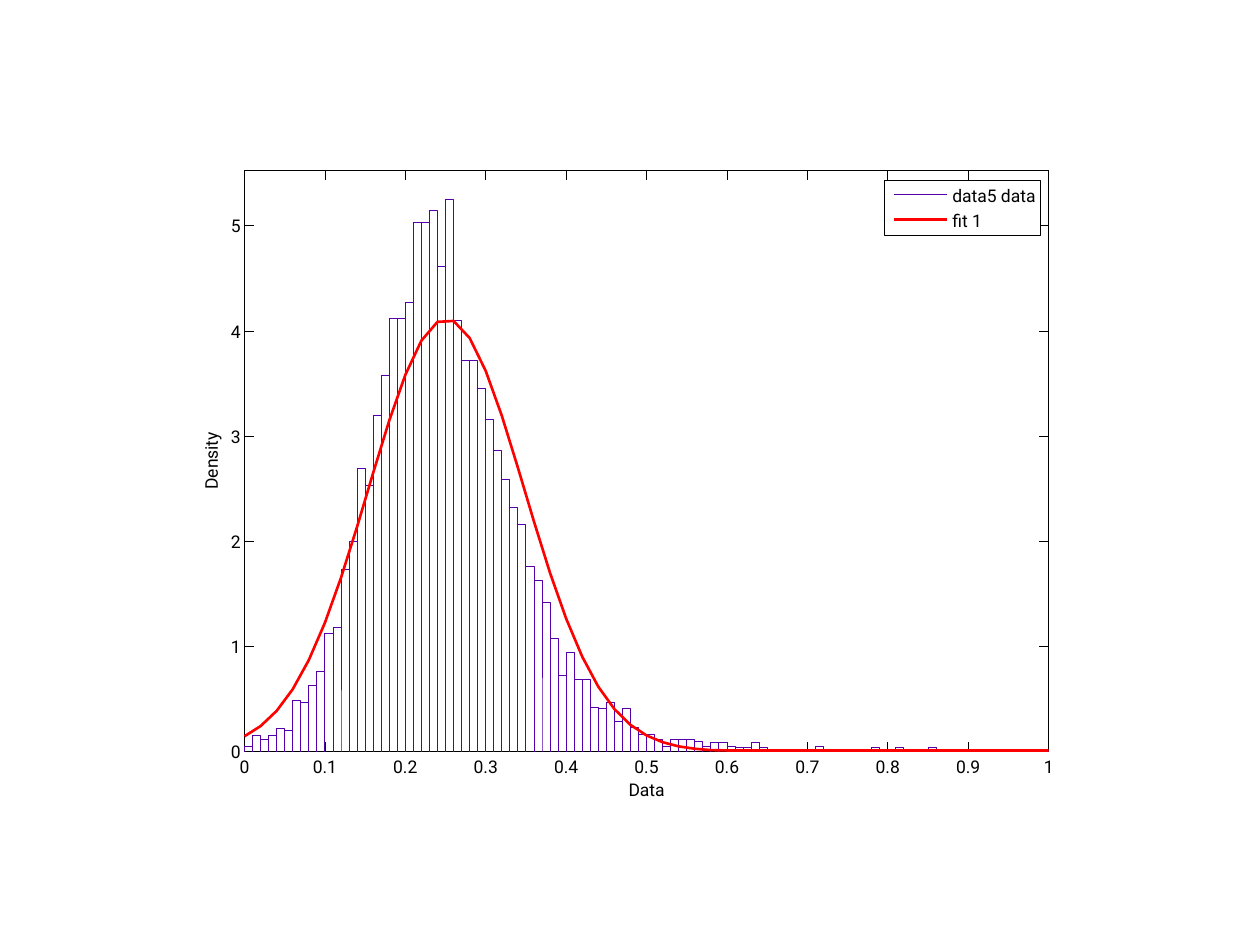
import math
from lxml import etree
from pptx import Presentation
from pptx import util as u
from pptx.dml.color import RGBColor
from pptx.enum import shapes, text
from pptx.oxml import ns
from pptx.util import Cm, Pt

COLORS = {"ink": "000000", "paper": "FFFFFF", "bars": "5500AA", "fit": "FF0000"}
FONT = "Roboto"
HAIR, THICK = 0.5, 1.5
TICK = 0.19
LABEL_H = 0.48

# Boxes in cm: left, top, width, height
PLOT = (4.93, 3.43, 16.21, 11.72)
LEGEND = (17.83, 3.63, 3.15, 1.11)

BIN, Y_MAX = 0.01, 5.53
MEAN, SIGMA = 0.251, 0.097
DENSITIES = [
    0.05, 0.15, 0.11, 0.15, 0.22, 0.20, 0.49, 0.47, 0.63, 0.76,
    1.12, 1.18, 1.73, 2.00, 2.69, 2.53, 3.20, 3.58, 4.12, 4.12,
    4.27, 5.03, 5.03, 5.15, 4.61, 5.25, 4.10, 3.72, 3.72, 3.45,
    3.16, 2.86, 2.59, 2.32, 2.16, 1.76, 1.63, 1.42, 1.08, 0.72,
    0.94, 0.69, 0.69, 0.42, 0.41, 0.47, 0.29, 0.41, 0.23, 0.16,
    0.16, 0.11, 0.05, 0.11, 0.11, 0.11, 0.10, 0.05, 0.09, 0.09,
    0.05, 0.04, 0.04, 0.09, 0.04, 0.02, 0.02, 0.02, 0.02, 0,
    0.02, 0.05, 0, 0, 0, 0.02, 0.02, 0, 0.04, 0.02,
    0, 0.04, 0.02, 0.02, 0.02, 0.04, 0.02]


def rgb(name):
    return RGBColor.from_string(COLORS[name])


def set_line(line, color="ink", width=HAIR):
    line.color.rgb = rgb(color)
    line.width = Pt(width)


def add_text(s, content, box, align=text.PP_ALIGN.LEFT, size=10, color="ink",
             rotation=0):
    sp = s.shapes.add_textbox(*map(Cm, box))
    sp.rotation = rotation
    tf = sp.text_frame
    tf.word_wrap = True
    tf.margin_left = tf.margin_right = tf.margin_top = tf.margin_bottom = 0
    p = tf.paragraphs[0]
    p.alignment = align
    r = p.add_run()
    r.text = content
    r.font.name, r.font.size = FONT, Pt(size)
    r.font.color.rgb = rgb(color)


def add_line(s, x1, y1, x2, y2, color="ink", width=HAIR):
    line = s.shapes.add_connector(shapes.MSO_CONNECTOR.STRAIGHT,
                                  *map(Cm, (x1, y1, x2, y2)))
    set_line(line.line, color, width)
    etree.SubElement(line._element.spPr, ns.qn("a:effectLst"))


def add_frame(s, box):
    sp = s.shapes.add_shape(shapes.MSO_SHAPE.RECTANGLE, *map(Cm, box))
    sp.shadow.inherit = False
    sp.fill.solid()
    sp.fill.fore_color.rgb = rgb("paper")
    set_line(sp.line)


def add_path(s, points, color, width):
    points = [(Cm(x), Cm(y)) for x, y in points]
    builder = s.shapes.build_freeform(*points[0], scale=1.0)
    builder.add_line_segments(points[1:], close=False)
    sp = builder.convert_to_shape()
    sp.shadow.inherit = False
    sp.fill.background()
    set_line(sp.line, color, width)


def to_plot(box, x, y):
    """Turn data values into a place on the slide."""
    left, top, width, height = box
    return left + width * x, top + height * (1 - y / Y_MAX)


def add_axes(s, box):
    left, top, width, height = box
    right, bottom = left + width, top + height
    add_frame(s, box)

    # Horizontal axis
    for i in range(11):
        x, _ = to_plot(box, i / 10, 0)
        add_line(s, x, bottom, x, bottom - TICK)
        add_line(s, x, top, x, top + TICK)
        add_text(s, f"{i / 10:g}", (x - 0.4, bottom + 0.09, 0.8, LABEL_H),
                 align=text.PP_ALIGN.CENTER)

    # Vertical axis
    for value in range(6):
        _, y = to_plot(box, 0, value)
        add_line(s, left, y, left + TICK, y)
        add_line(s, right, y, right - TICK, y)
        add_text(s, str(value), (left - 0.58, y - 0.21, 0.5, LABEL_H),
                 align=text.PP_ALIGN.RIGHT)

    # Axis titles
    mid_x, mid_y = left + width / 2, top + height / 2
    add_text(s, "Data", (mid_x - 0.75, bottom + 0.55, 1.5, LABEL_H),
             align=text.PP_ALIGN.CENTER)
    add_text(s, "Density", (left - 1.4, mid_y - LABEL_H / 2, 1.5, LABEL_H),
             align=text.PP_ALIGN.CENTER, rotation=270)


def add_histogram(s, box):
    points = [to_plot(box, 0, 0)]
    for i, height in enumerate(DENSITIES):
        start, end = i * BIN, (i + 1) * BIN
        points += [to_plot(box, start, height), to_plot(box, end, height),
                   to_plot(box, end, 0)]
    points.append(to_plot(box, 1, 0))
    add_path(s, points, "bars", HAIR)


def add_fit(s, box):
    peak = 1 / (SIGMA * math.sqrt(2 * math.pi))
    points = []
    for x in [i / 50 for i in range(31)] + [1]:
        y = peak * math.exp(-((x - MEAN) / SIGMA) ** 2 / 2)
        points.append(to_plot(box, x, max(y, 0.01)))
    add_path(s, points, "fit", THICK)


def add_legend(s, box):
    left, top, width, _ = box
    add_frame(s, box)
    entries = (("data5 data", "bars", HAIR), ("fit 1", "fit", THICK))
    for i, (name, color, weight) in enumerate(entries):
        y = top + 0.28 + 0.51 * i
        add_line(s, left + 0.2, y, left + 1.27, y, color, weight)
        add_text(s, name, (left + 1.37, y - 0.18, width - 1.37, LABEL_H))


def main():
    prs = Presentation()
    prs.slide_width, prs.slide_height = u.Cm(25.4), u.Cm(19.05)
    s = prs.slides.add_slide(prs.slide_layouts[6])
    add_axes(s, PLOT)
    add_histogram(s, PLOT)
    add_fit(s, PLOT)
    add_legend(s, LEGEND)
    prs.save("out.pptx")


if __name__ == "__main__":
    main()
